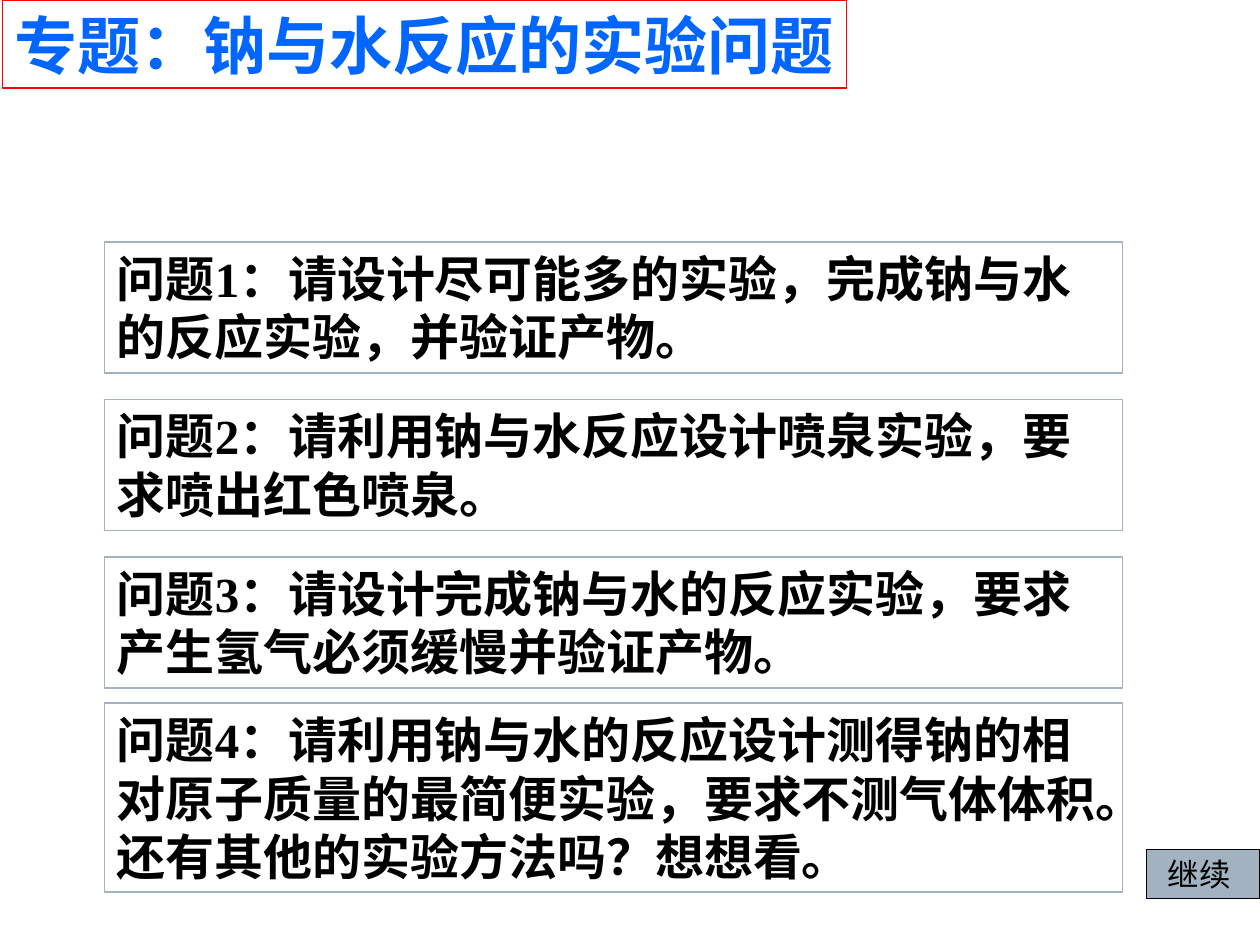
from pptx import Presentation
from pptx import util as u
from pptx.dml.color import RGBColor
from pptx.enum import shapes, text

TITLE = "专题：钠与水反应的实验问题"
TASKS = [
    (1.92, 1.04, "问题1：请设计尽可能多的实验，完成钠与水的反应实验，并验证产物。"),
    (3.17, 1.04, "问题2：请利用钠与水反应设计喷泉实验，要求喷出红色喷泉。"),
    (4.42, 1.04, "问题3：请设计完成钠与水的反应实验，要求产生氢气必须缓慢并验证产物。"),
    (5.58, 1.5, "问题4：请利用钠与水的反应设计测得钠的相对原子质量的最简便实验，"
                "要求不测气体体积。还有其他的实验方法吗？想想看。"),
]
NEXT = "继续"


class Theme:
    ink = RGBColor.from_string("000000")
    blue = RGBColor.from_string("0066FF")
    red = RGBColor.from_string("FF0000")
    steel = RGBColor.from_string("A3B2C1")
    head = "Arial"
    body = "Times New Roman"
    big, mid, small = 36, 28, 18
    rule = 0.75


def add_rect(home, spot, line, fill=None):
    box = home.add_shape(shapes.MSO_SHAPE.RECTANGLE, *map(u.Inches, spot))
    box.shadow.inherit = False
    if fill is None:
        box.fill.background()
    else:
        box.fill.solid()
        box.fill.fore_color.rgb = fill
    box.line.color.rgb = line
    box.line.width = u.Pt(Theme.rule)
    return box


def write(box, words, face, size, color, bold=True, wrap=True):
    frame = box.text_frame
    frame.word_wrap = wrap
    frame.auto_size = text.MSO_AUTO_SIZE.SHAPE_TO_FIT_TEXT
    frame.vertical_anchor = text.MSO_ANCHOR.TOP
    para = frame.paragraphs[0]
    para.text = words
    para.alignment = text.PP_ALIGN.LEFT
    font = para.font
    font.name, font.size, font.bold = face, u.Pt(size), bold
    font.color.rgb = color


def main():
    deck = Presentation()
    deck.slide_width, deck.slide_height = u.Inches(10), u.Inches(7.5)
    slide = deck.slides.add_slide(deck.slide_layouts[6])

    for top, height, words in TASKS:
        box = add_rect(slide.shapes, (0.83, top, 8.08, height), Theme.steel)
        write(box, words, Theme.body, Theme.mid, Theme.ink)

    button = slide.shapes.add_group_shape().shapes
    add_rect(button, (9.1, 6.74, 0.9, 0.39), Theme.ink, Theme.steel)
    label = button.add_textbox(*map(u.Inches, (9.17, 6.74, 0.83, 0.4)))
    write(label, NEXT, Theme.body, Theme.small, Theme.ink, bold=False)

    title = add_rect(slide.shapes, (0.02, 0, 6.7, 0.7), Theme.red)
    write(title, TITLE, Theme.head, Theme.big, Theme.blue, wrap=False)

    deck.save("out.pptx")


if __name__ == "__main__":
    main()
